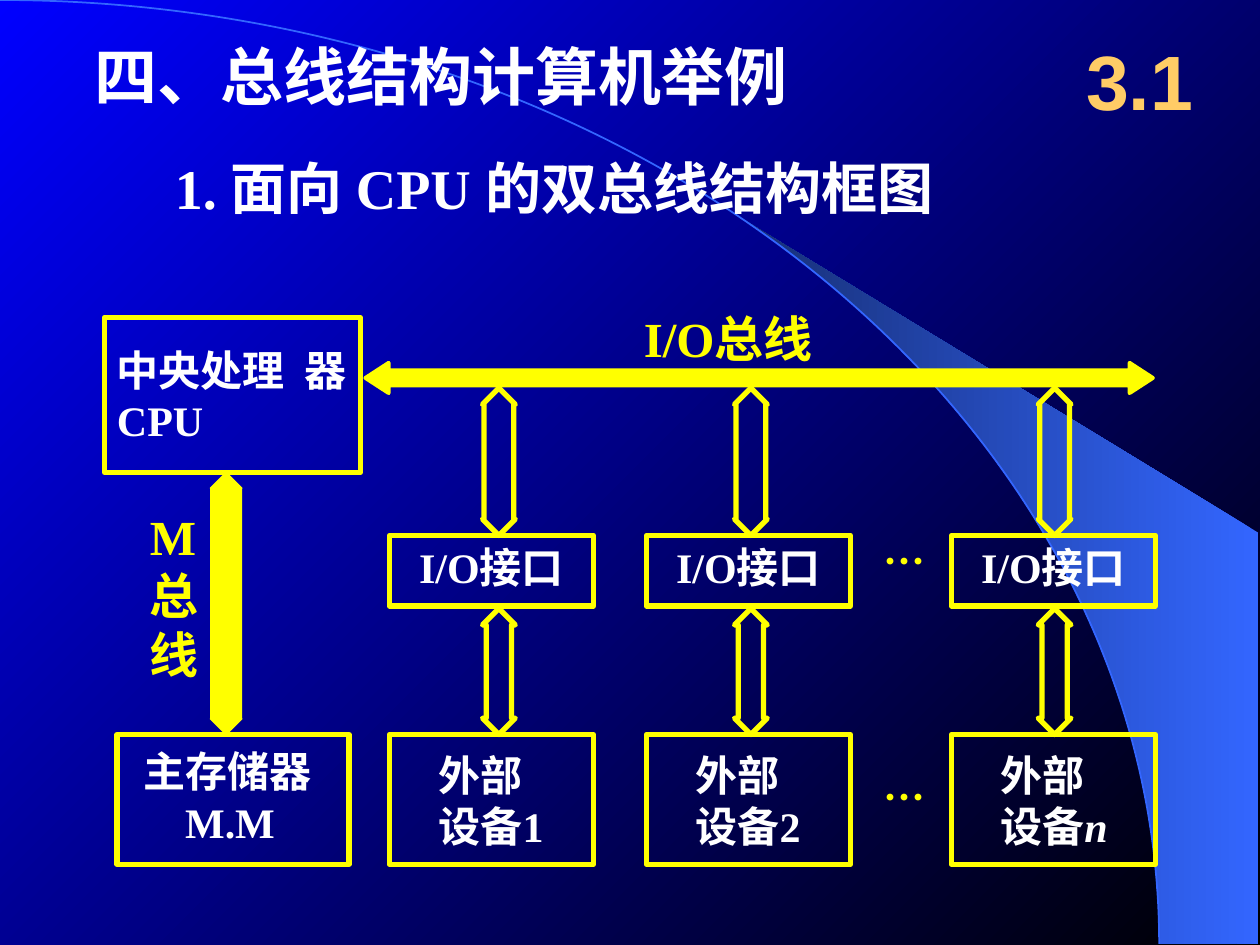
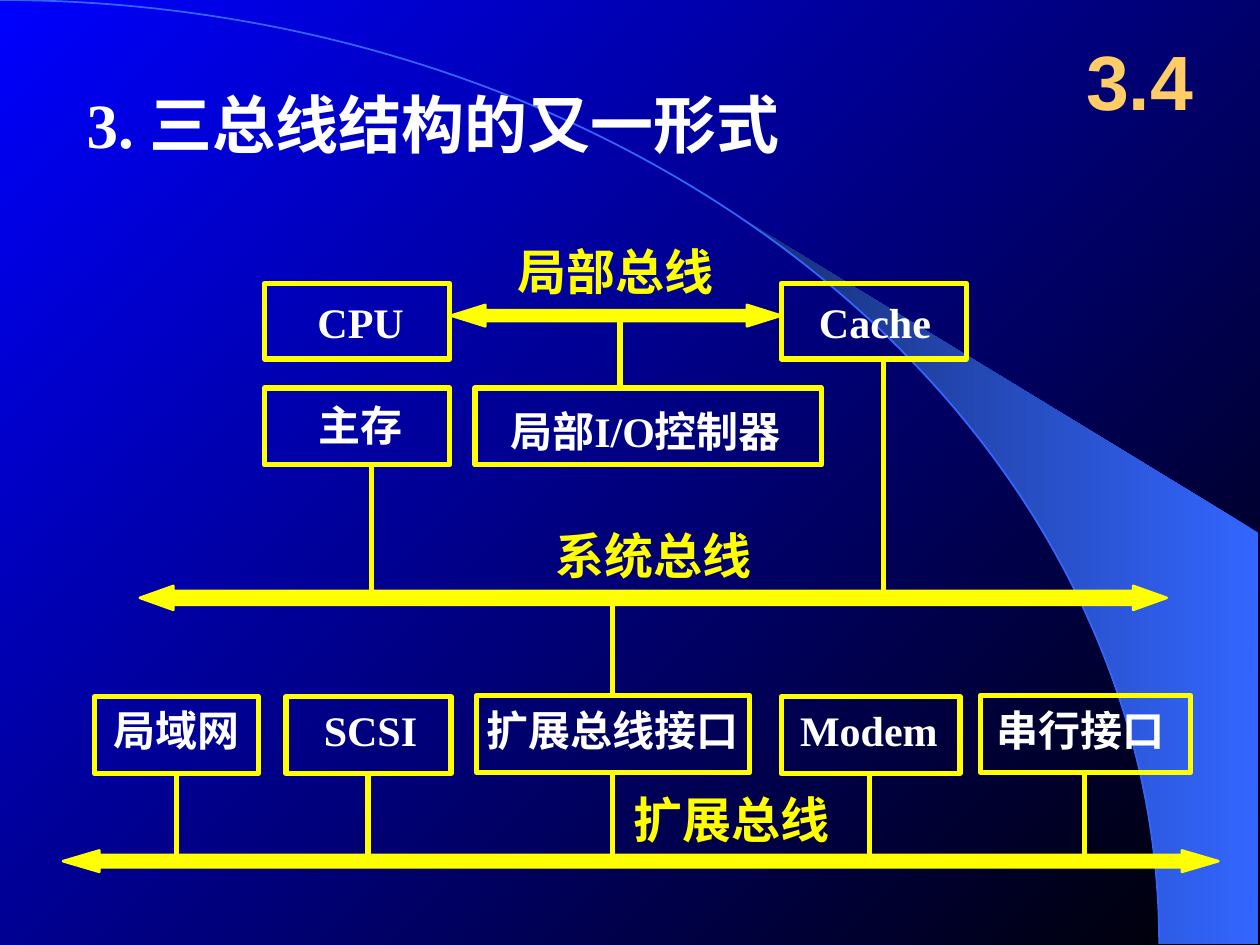
"""Build two slides on bus-structured computers: dual-bus and three-bus block diagrams."""
import math
from dataclasses import dataclass

from lxml import etree
from pptx import Presentation
from pptx import util as u
from pptx.dml import color
from pptx.enum import shapes, text
from pptx.oxml import ns

Inches = u.Inches


@dataclass(frozen=True)
class Theme:
    """Colours, fonts and type sizes."""
    black: str = "000000"
    blue: str = "0000FF"
    sweep: str = "3366FF"
    sweep_dark: str = "172F75"
    white: str = "FFFFFF"
    yellow: str = "FFFF00"
    gold: str = "FFCC66"
    serif: str = "Times New Roman"
    sans: str = "Arial"
    chinese: str = "Noto Sans CJK SC"
    number: int = 44
    title: int = 36
    subtitle: int = 32
    bus: int = 28
    body: int = 24
    leading: float = 1.2
    outline: float = 3


T = Theme()
PAD = (0.1, 0.05, 0.1, 0.05)
FLUSH = (0, 0, 0, 0)
RADIUS_X, RADIUS_Y = 9.2, 7.49
BUS_FONT = {"size": T.bus, "color": T.yellow}
DOTS_FONT = {"name": T.chinese, "color": T.yellow}

DUAL_BUS = {
    "number": "3.1",
    "title": ("四、总线结构计算机举例", (0.65, 0.25, 6.27, 0.7), T.title),
    "subtitle": ("1. 面向 CPU 的双总线结构框图", (1.29, 1.17, 6.96, 0.64), T.subtitle),
    "cpu": ["中央处理", (" ", {"spc": 600}), "器 CPU"],
    "memory": ["主存储器", "M.M"],
    "io_bus": ["I/O", ("总线", {"name": T.chinese})],
    "memory_bus": "M总线",
    "interface": "I/O接口",
    "device": ("外部", "设备"),
    "columns": [(3.09, 3.96, ("1", {})), (5.13, 5.96, ("2", {})),
                (7.55, 8.37, ("n", {"italic": True}))],
    "dots": [(7.01, 4.25), (7.01, 6.12)],
}

THREE_BUS = {
    "number": "3.4",
    "title": ("3. 三总线结构的又一形式", (0.59, 0.63, 6.5, 0.7), T.title),
    "units": [
        ("CPU", (2.1, 2.25, 1.47, 0.6), (2.52, 2.35)),
        ("Cache", (6.2, 2.25, 1.47, 0.6), (6.5, 2.35)),
        ("主存", (2.1, 3.08, 1.47, 0.61), (2.53, 3.17)),
        ("局部I/O控制器", (3.77, 3.08, 2.75, 0.61), (4.05, 3.22)),
        ("局域网", (0.75, 5.53, 1.3, 0.61), (0.9, 5.59)),
        ("SCSI", (2.27, 5.53, 1.31, 0.61), (2.57, 5.59)),
        ("扩展总线接口", (3.78, 5.52, 2.17, 0.61), (3.86, 5.59)),
        ("Modem", (6.2, 5.53, 1.42, 0.61), (6.35, 5.59)),
        ("串行接口", (7.78, 5.52, 1.67, 0.61), (7.91, 5.59)),
    ],
    "buses": [
        ("局部总线", (4.11, 1.92), (3.58, 2.42, 2.62, 0.17), (0.5, 1.6)),
        ("系统总线", (4.41, 4.17), (1.11, 4.65, 8.15, 0.19), (0.58, 1.4)),
        ("扩展总线", (5.03, 6.27), (0.5, 6.75, 9.17, 0.17), (0.58, 1.7)),
    ],
    "links": [(4.92, 2.5, 3.08), (7.01, 2.85, 4.74), (2.95, 3.69, 4.74), (4.86, 4.74, 5.52)]
    + [(x, 6.14, 6.83) for x in (1.4, 2.92, 4.86, 6.9, 8.61)],
}


def rgb(value):
    return color.RGBColor.from_string(value)


def lengths(values):
    return [Inches(value) for value in values]


def blend(fill, start, end, angle):
    fill.gradient()
    fill.gradient_angle = angle
    for stop, value in zip(fill.gradient_stops, (start, end)):
        stop.color.rgb = rgb(value)


def paint(shape, fill=None, line=T.yellow, width=T.outline):
    shape.shadow.inherit = False
    if fill:
        shape.fill.solid()
        shape.fill.fore_color.rgb = rgb(fill)
    else:
        shape.fill.background()
    shape.line.color.rgb = rgb(line)
    shape.line.width = u.Pt(width)


def write(box, lines, inset=PAD, align=text.PP_ALIGN.LEFT, anchor=text.MSO_ANCHOR.TOP, **base):
    frame = box.text_frame
    frame.word_wrap = True
    frame.vertical_anchor = anchor
    for side, value in zip(("left", "top", "right", "bottom"), inset):
        setattr(frame, f"margin_{side}", Inches(value))
    for index, line in enumerate(lines):
        para = frame.add_paragraph() if index else frame.paragraphs[0]
        para.alignment = align
        for item in [line] if isinstance(line, str) else line:
            words, extra = (item, {}) if isinstance(item, str) else item
            look = {"name": T.serif, "size": T.body, "color": T.white, "bold": True,
                    **base, **extra}
            para.line_spacing = u.Pt(look["size"] * T.leading)
            style_span(para.add_run(), words, look)
    return frame


def style_span(span, words, look):
    span.text = words
    look = dict(look, size=u.Pt(look["size"]))
    span.font.color.rgb = rgb(look.pop("color"))
    spacing = look.pop("spc", None)
    for key, value in look.items():
        setattr(span.font, key, value)
    props = span._r.get_or_add_rPr()
    etree.SubElement(props, ns.qn("a:ea")).set("typeface", T.chinese)
    if spacing:
        props.set("spc", str(spacing))


def label(page, lines, place, **look):
    return write(page.shapes.add_textbox(*lengths(place)), lines, **look)


def frame_box(page, place):
    box = page.shapes.add_shape(shapes.MSO_SHAPE.RECTANGLE, *lengths(place))
    paint(box)
    return box


def arrow(page, kind, place, adjust, **look):
    shape = page.shapes.add_shape(kind, *lengths(place))
    for index, value in enumerate(adjust):
        shape.adjustments[index] = value
    paint(shape, **look)


def link(page, x, top, bottom):
    line = page.shapes.add_connector(shapes.MSO_CONNECTOR.STRAIGHT,
                                     *lengths((x, top, x, bottom)))
    line.line.color.rgb = rgb(T.yellow)
    line.line.width = u.Pt(T.outline)
    etree.SubElement(line._element.spPr, ns.qn("a:effectLst"))


def draw_sweep(page):
    start = math.asin(5.89 / RADIUS_X)
    steps = 24
    angles = [start + (math.pi / 2 - start) * step / steps for step in range(steps + 1)]
    curve = [(RADIUS_X * math.sin(a), RADIUS_Y * (1 - math.cos(a))) for a in angles]
    outline = [lengths(point) for point in curve + [(9.99, RADIUS_Y), (9.99, 4.23)]]
    builder = page.shapes.build_freeform(*outline[0], scale=1.0)
    builder.add_line_segments(outline[1:], close=True)
    sweep = builder.convert_to_shape()
    sweep.shadow.inherit = False
    blend(sweep.fill, T.sweep, T.sweep_dark, 180)
    sweep.line.fill.background()
    arc = page.shapes.add_shape(shapes.MSO_SHAPE.ARC,
                                *lengths((-RADIUS_X, 0, 2 * RADIUS_X, 2 * RADIUS_Y)))
    paint(arc, line=T.sweep, width=1)


def start_page(deck, content):
    page = deck.slides.add_slide(deck.slide_layouts[6])
    draw_sweep(page)
    label(page, [content["number"]], (8.42, 0.17, 1.25, 0.92), name=T.sans, size=T.number,
          color=T.gold, align=text.PP_ALIGN.CENTER, anchor=text.MSO_ANCHOR.MIDDLE)
    for key in ("title", "subtitle"):
        if key in content:
            words, place, size = content[key]
            label(page, [words], place, size=size)
    return page


def draw_dual_bus(deck, content):
    page = start_page(deck, content)
    vertical = shapes.MSO_SHAPE.UP_DOWN_ARROW
    write(frame_box(page, (0.83, 2.52, 2.03, 1.23)), [content["cpu"]],
          anchor=text.MSO_ANCHOR.MIDDLE)
    memory = write(frame_box(page, (0.93, 5.83, 1.84, 1.03)), content["memory"],
                   inset=(0.21, 0.09, 0.1, 0.05))
    memory.paragraphs[1]._p.get_or_add_pPr().set("marL", str(Inches(0.33)))
    label(page, [content["io_bus"]], (5.11, 2.45, 1.98, 0.47), inset=FLUSH, **BUS_FONT)
    arrow(page, shapes.MSO_SHAPE.LEFT_RIGHT_ARROW, (2.9, 2.88, 6.25, 0.24), (0.5, 0.77),
          fill=T.yellow, width=2.25)
    label(page, list(content["memory_bus"]), (1.19, 4.02, 0.47, 1.4), inset=FLUSH, **BUS_FONT)
    arrow(page, vertical, (1.67, 3.75, 0.25, 2.08), (0.5, 0.98), fill=T.yellow, width=0.75)
    first, second = content["device"]
    for left, middle, suffix in content["columns"]:
        write(frame_box(page, (left, 4.25, 1.62, 0.56)), [content["interface"]],
              align=text.PP_ALIGN.CENTER)
        write(frame_box(page, (left, 5.83, 1.62, 1.03)), [first, [second, suffix]],
              inset=(0.39, 0.12, 0.1, 0.05))
        for top, height, head in ((3.08, 1.17, 0.91), (4.83, 1, 0.77)):
            arrow(page, vertical, (middle - 0.13, top, 0.26, height), (0.5, head))
    for place in content["dots"]:
        label(page, ["…"], (*place, 0.41, 0.4), inset=FLUSH, **DOTS_FONT)


def draw_three_bus(deck, content):
    page = start_page(deck, content)
    for ends in content["links"]:
        link(page, *ends)
    for words, place, corner in content["units"]:
        frame_box(page, place)
        font = T.serif if any(letter.isascii() for letter in words) else T.chinese
        label(page, [words], (*corner, place[2] + 0.5, 0.4), inset=FLUSH, name=font)
    for words, corner, place, adjust in content["buses"]:
        label(page, [words], (*corner, 2, 0.47), inset=FLUSH, name=T.chinese, **BUS_FONT)
        arrow(page, shapes.MSO_SHAPE.LEFT_RIGHT_ARROW, place, adjust, fill=T.yellow, width=1.5)


def main():
    deck = Presentation()
    deck.slide_width, deck.slide_height = lengths((10, 7.5))
    blend(deck.slide_master.background.fill, T.black, T.blue, 135)
    draw_dual_bus(deck, DUAL_BUS)
    draw_three_bus(deck, THREE_BUS)
    deck.save("out.pptx")


if __name__ == "__main__":
    main()
